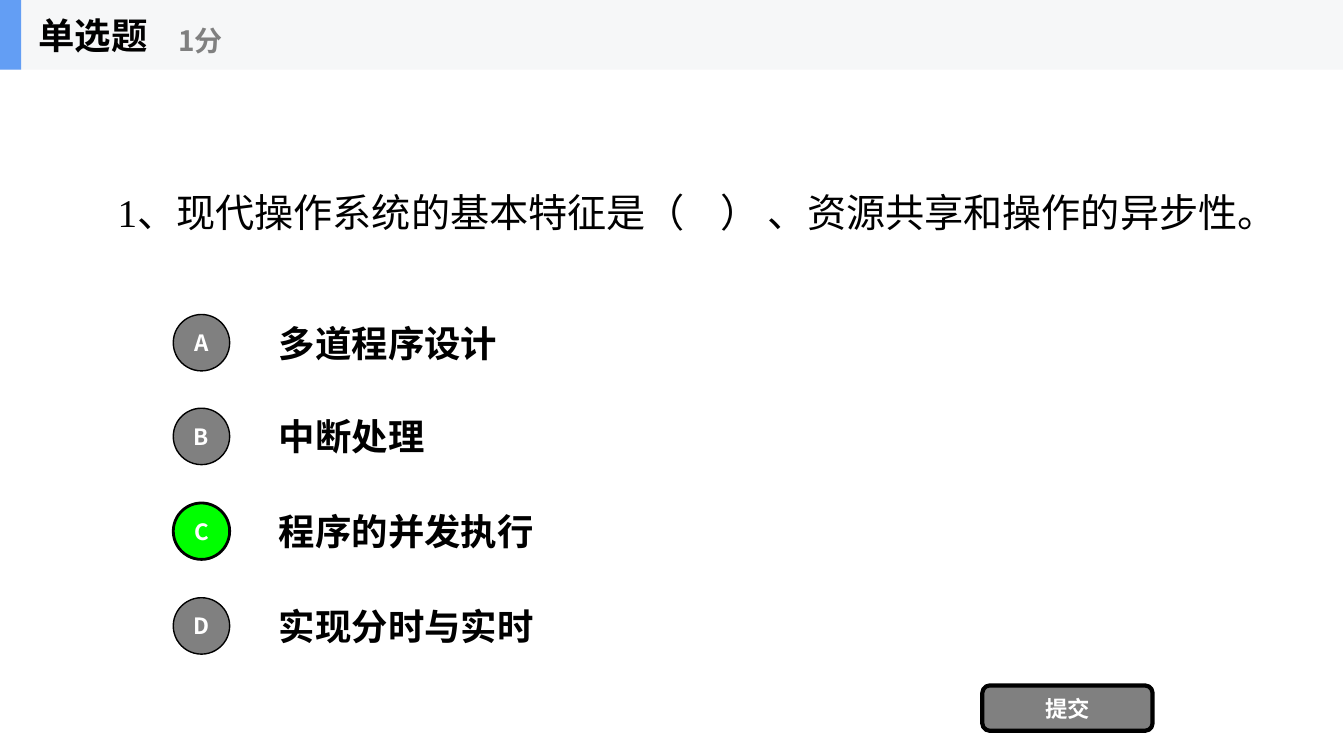
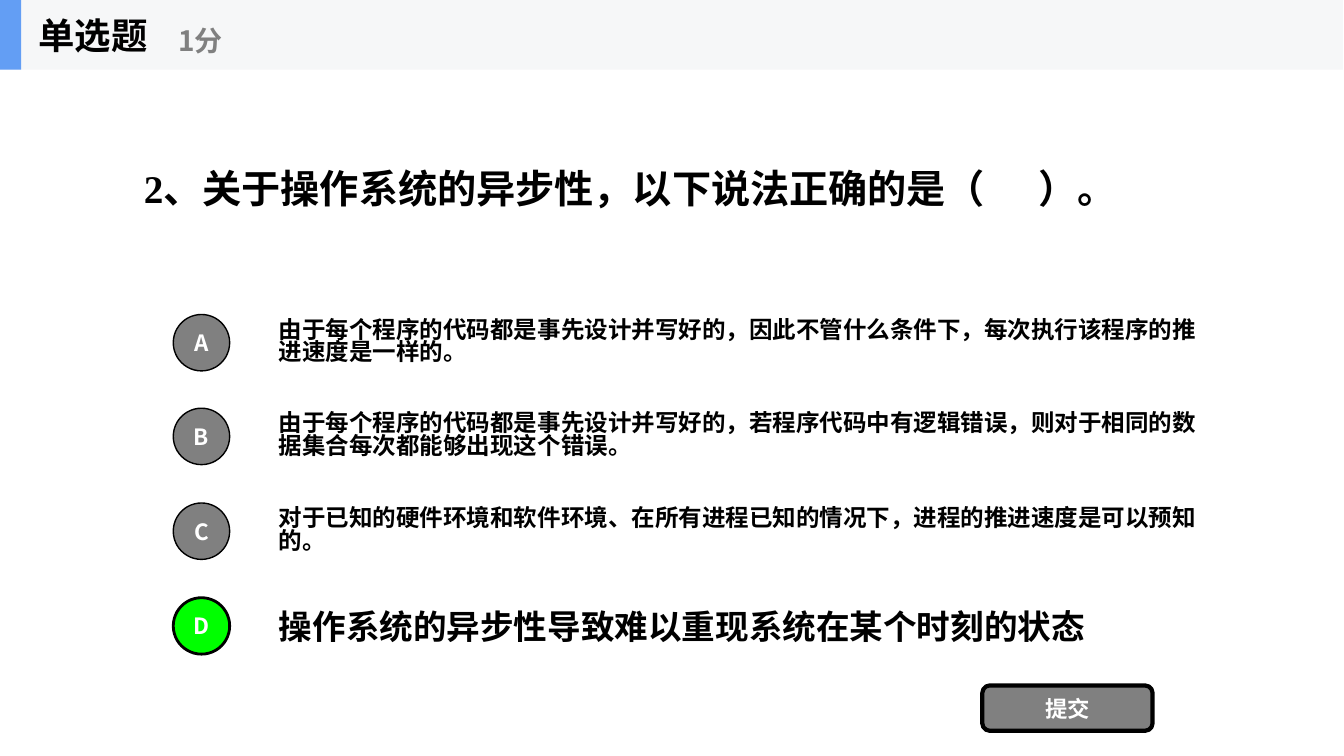
import pptx
import pptx.dml.color
import pptx.enum.shapes
import pptx.enum.text
import pptx.oxml
import pptx.oxml.ns
import pptx.util

RGBColor = pptx.dml.color.RGBColor
SHAPE = pptx.enum.shapes.MSO_SHAPE
ALIGN = pptx.enum.text.PP_ALIGN

EMU_PER_PX = 9144  # 100 px to the inch
SLIDE_WIDTH, SLIDE_HEIGHT = 1334, 750

BLACK = RGBColor(0x00, 0x00, 0x00)
WHITE = RGBColor(0xFF, 0xFF, 0xFF)
GREY = RGBColor(0x80, 0x80, 0x80)
GREEN = RGBColor(0x00, 0xFF, 0x00)
BLUE = RGBColor(0x63, 0x9E, 0xF4)
BAND = RGBColor(0xF6, 0xF7, 0xF8)

SANS = "Noto Sans CJK SC"
SERIF = "Times New Roman"

HEADER_BOX = (0, 0, 1333, 69)
OPTIONS_BOX = (172, 305, 1028, 351)
SUBMIT_BOX = (975, 680, 169, 45)
OPTION_HEIGHT = 70
MARKER_SIZE = 56

QUESTIONS = [
    {
        "text": "1、现代操作系统的基本特征是（    ） 、资源共享和操作的异步性。",
        "box": (107, 93, 1166, 234),
        "bold": False,
        "answer": "C",
        "option_font": SANS,
        "options": [
            ("多道程序设计", 26, 1.0),
            ("中断处理", 26, 1.0),
            ("程序的并发执行", 26, 1.0),
            ("实现分时与实时", 26, 1.0),
        ],
    },
    {
        "text": "2、关于操作系统的异步性，以下说法正确的是（      ）。",
        "box": (133, 69, 1067, 234),
        "bold": True,
        "answer": "D",
        "option_font": SERIF,
        "options": [
            ("由于每个程序的代码都是事先设计并写好的，因此不管什么条件下，"
             "每次执行该程序的推进速度是一样的。", 16.8, 0.8),
            ("由于每个程序的代码都是事先设计并写好的，若程序代码中有逻辑错误，"
             "则对于相同的数据集合每次都能够出现这个错误。", 16.8, 0.8),
            ("对于已知的硬件环境和软件环境、在所有进程已知的情况下，"
             "进程的推进速度是可以预知的。", 16.8, 0.8),
            ("操作系统的异步性导致难以重现系统在某个时刻的状态", 24, 1.0),
        ],
    },
]


def emu(box):
    return [pptx.util.Emu(length * EMU_PER_PX) for length in box]


def write(shape, text, size, color=BLACK, bold=True, font_name=SANS,
          align=ALIGN.LEFT, line_spacing=1.0):
    """Put one vertically centred, formatted paragraph in the shape."""
    frame = shape.text_frame
    frame.text = text
    frame.word_wrap = True
    frame.auto_size = pptx.enum.text.MSO_AUTO_SIZE.NONE
    frame.vertical_anchor = pptx.enum.text.MSO_ANCHOR.MIDDLE
    paragraph = frame.paragraphs[0]
    paragraph.alignment = align
    paragraph.line_spacing = line_spacing
    font = paragraph.runs[0].font
    font.size = pptx.util.Pt(size)
    font.bold = bold
    font.name = font_name
    font.color.rgb = color
    for latin in list(shape.element.iter(pptx.oxml.ns.qn("a:latin"))):
        latin.addnext(pptx.oxml.parse_xml(
            f'<a:ea {pptx.oxml.ns.nsdecls("a")} typeface="{SANS}"/>'))


def add_text(slide, box, text, size, **style):
    write(slide.shapes.add_textbox(*emu(box)), text, size, **style)


def add_filled(slide, kind, box, fill, line_width=0):
    shape = slide.shapes.add_shape(kind, *emu(box))
    shape.shadow.inherit = False
    shape.fill.solid()
    shape.fill.fore_color.rgb = fill
    if line_width:
        shape.line.color.rgb = BLACK
        shape.line.width = pptx.util.Pt(line_width)
    else:
        shape.line.fill.background()
    return shape


def add_header(slide, box):
    left, top, width, height = box
    add_filled(slide, SHAPE.RECTANGLE, box, BAND)
    add_filled(slide, SHAPE.RECTANGLE, (left, top, 21, height), BLUE)
    title = slide.shapes.title
    title.left, title.top, title.width, title.height = emu(
        (left + 28, top, 208, height))
    write(title, "单选题", 26)
    # Bring the title in front of the band.
    title.element.getparent().append(title.element)
    add_text(slide, (left + 167, top + 12, 250, 56), "1分", 20, color=GREY)


def add_options(slide, box, question):
    """Spread the options evenly over the box, each with a lettered marker."""
    left, top, width, height = box
    options = question["options"]
    inset = (OPTION_HEIGHT - MARKER_SIZE) // 2
    text_offset = 95
    for index, (text, size, spacing) in enumerate(options):
        row_top = top + (height - OPTION_HEIGHT) * index // (len(options) - 1)
        letter = "ABCD"[index]
        correct = letter == question["answer"]
        add_text(slide,
                 (left + text_offset, row_top, width - text_offset, OPTION_HEIGHT),
                 text, size, font_name=question["option_font"],
                 line_spacing=spacing)
        marker = add_filled(slide, SHAPE.OVAL,
                            (left, row_top + inset, MARKER_SIZE, MARKER_SIZE),
                            GREEN if correct else GREY, 2 if correct else 1)
        write(marker, letter, 16, color=WHITE, align=ALIGN.CENTER)


def add_submit_button(slide, box):
    button = add_filled(slide, SHAPE.ROUNDED_RECTANGLE, box, GREY, 3)
    write(button, "提交", 16, color=WHITE, align=ALIGN.CENTER)


def add_question_slide(presentation, question):
    slide = presentation.slides.add_slide(presentation.slide_layouts[5])
    add_header(slide, HEADER_BOX)
    add_text(slide, question["box"], question["text"], 28,
             bold=question["bold"], font_name=SERIF)
    add_options(slide, OPTIONS_BOX, question)
    add_submit_button(slide, SUBMIT_BOX)


def main():
    presentation = pptx.Presentation()
    presentation.slide_width, presentation.slide_height = emu(
        (SLIDE_WIDTH, SLIDE_HEIGHT))
    for question in QUESTIONS:
        add_question_slide(presentation, question)
    presentation.save("out.pptx")


if __name__ == "__main__":
    main()
